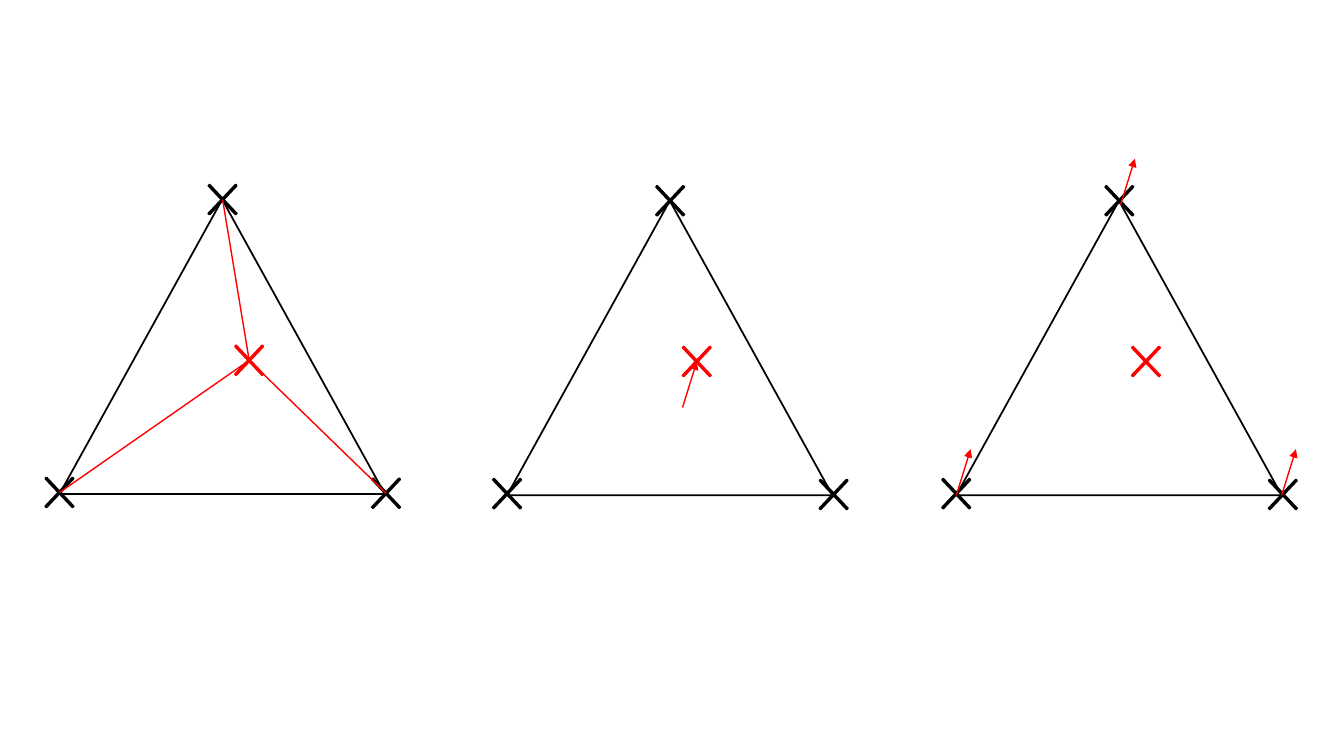
from dataclasses import dataclass

from lxml.etree import SubElement
from pptx import Presentation
from pptx.dml.color import RGBColor
from pptx.enum.shapes import MSO_CONNECTOR, MSO_SHAPE
from pptx.oxml.ns import qn
from pptx.util import Cm, Pt


@dataclass(frozen=True)
class Theme:
    black: RGBColor = RGBColor(0, 0, 0)
    white: RGBColor = RGBColor(255, 255, 255)
    red: RGBColor = RGBColor(255, 0, 0)
    edge: float = 1.25
    thin: float = 1


class Panel:
    """Draws triangle panels, each in its own group, on one slide."""

    def __init__(self, slide, theme):
        self.slide, self.theme = slide, theme

    def start(self, left, top):
        self.left, self.top = left, top
        self.group = self.slide.shapes.add_group_shape().shapes

    def place(self, x, y):
        return Cm(self.left + x), Cm(self.top + y)

    def shape(self, kind, x, y, width, height, fill, color):
        item = self.group.add_shape(kind, *self.place(x, y), Cm(width), Cm(height))
        item.shadow.inherit = False
        item.fill.solid()
        item.fill.fore_color.rgb = fill
        item.line.color.rgb = color
        item.line.width = Pt(self.theme.edge)
        return item

    def triangle(self, width, height):
        self.shape(MSO_SHAPE.ISOSCELES_TRIANGLE, 0, 0, width, height,
                   self.theme.white, self.theme.black)

    def cross(self, point, color):
        width, height = 1.32, 1.4
        x, y = point
        item = self.shape(MSO_SHAPE.MATH_MULTIPLY, x - width / 2, y - height / 2,
                          width, height, self.theme.black, color)
        item.adjustments[0] = 0.032

    def line(self, start, end, arrow=False):
        item = self.group.add_connector(
            MSO_CONNECTOR.STRAIGHT, *self.place(*start), *self.place(*end))
        item.line.color.rgb = self.theme.red
        item.line.width = Pt(self.theme.thin)
        if arrow:
            SubElement(item.line._get_or_add_ln(), qn("a:tailEnd"), type="triangle")
        SubElement(item._element.spPr, qn("a:effectLst"))

    def arrow(self, start):
        x, y = start
        self.line(start, (x + 0.36, y - 1.16), arrow=True)


def main():
    deck = Presentation()
    deck.slide_width, deck.slide_height = Cm(33.87), Cm(19.05)
    theme = Theme()
    panel = Panel(deck.slides.add_slide(deck.slide_layouts[6]), theme)

    width, height = 8.2, 7.42
    corners = [(4.11, 0), (0, 7.38), (8.23, 7.4)]
    center = (4.78, 4.05)
    spokes = [(corner, center) for corner in corners]
    pull = [(4.42, 5.21)]
    shifts = [(4.14, 0.1), (0, height), (width, height)]
    panels = [
        (1.5, 5.03, spokes, []),
        (12.78, 5.06, [], pull),
        (24.1, 5.06, [], shifts),
    ]
    for left, top, lines, arrows in panels:
        panel.start(left, top)
        panel.triangle(width, height)
        for corner in corners:
            panel.cross(corner, theme.black)
        panel.cross(center, theme.red)
        for start, end in lines:
            panel.line(start, end)
        for start in arrows:
            panel.arrow(start)

    deck.save("out.pptx")


if __name__ == "__main__":
    main()
